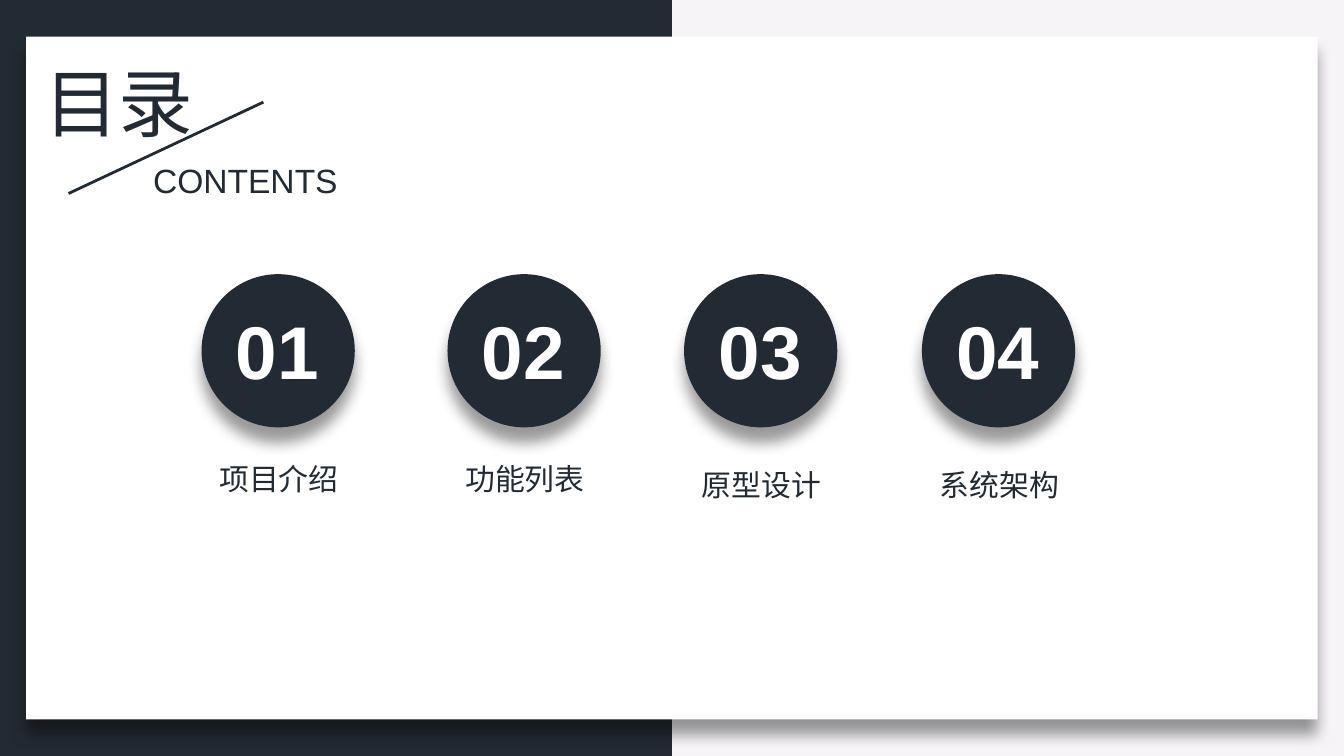
from dataclasses import dataclass

from lxml import etree
from pptx import Presentation
from pptx.dml.color import RGBColor
from pptx.enum.shapes import MSO_CONNECTOR, MSO_SHAPE
from pptx.enum.text import MSO_ANCHOR, MSO_AUTO_SIZE, PP_ALIGN
from pptx.oxml.ns import qn
from pptx.util import Inches, Pt

RECTANGLE, OVAL = MSO_SHAPE.RECTANGLE, MSO_SHAPE.OVAL
STRAIGHT = MSO_CONNECTOR.STRAIGHT
LEFT, CENTER = PP_ALIGN.LEFT, PP_ALIGN.CENTER
TOP = MSO_ANCHOR.TOP
NO_AUTOSIZE = MSO_AUTO_SIZE.NONE


@dataclass(frozen=True)
class Theme:
    """Colours, fonts and type sizes of the deck."""
    dark: str = "222B34"
    light: str = "F6F4F7"
    white: str = "FFFFFF"
    shadow: str = "000000"
    heading_font: str = "Calibri"
    latin_font: str = "Arial"
    chinese_font: str = "Noto Sans CJK SC"
    display_size: int = 40
    subtitle_size: int = 18
    label_size: int = 16


THEME = Theme()


def add_shadow(shape):
    """Cast a soft shadow straight down from the shape."""
    shape.shadow.inherit = False
    effects = shape._element.spPr.find(qn("a:effectLst"))
    shadow = etree.SubElement(
        effects, qn("a:outerShdw"), blurRad=str(Pt(8)), dist=str(Pt(8)),
        dir="5400000", algn="t", rotWithShape="0")
    color = etree.SubElement(shadow, qn("a:srgbClr"), val=THEME.shadow)
    etree.SubElement(color, qn("a:alpha"), val="40000")


def add_filled(slide, kind, box, color, shadow=False):
    """Add an unlined shape in one colour."""
    shape = slide.shapes.add_shape(kind, *map(Inches, box))
    shape.fill.solid()
    shape.fill.fore_color.rgb = RGBColor.from_string(color)
    shape.line.fill.background()
    if shadow:
        add_shadow(shape)
    else:
        shape.shadow.inherit = False


def write(shape, text, font_name, size, color, align=CENTER, bold=False):
    """Put one formatted, unwrapped line of text in a shape."""
    frame = shape.text_frame
    frame.text = text
    frame.word_wrap = False
    frame.auto_size = NO_AUTOSIZE
    frame.vertical_anchor = TOP
    paragraph = frame.paragraphs[0]
    paragraph.alignment = align
    run = paragraph.runs[0]
    run.font.name = font_name
    run.font.size = Pt(size)
    run.font.bold = bold
    run.font.color.rgb = RGBColor.from_string(color)
    latin = run.font._element.find(qn("a:latin"))
    latin.addnext(etree.Element(qn("a:ea"), typeface=THEME.chinese_font))


def add_text(slide, box, *args, **options):
    """Add a text box holding one formatted line."""
    write(slide.shapes.add_textbox(*map(Inches, box)), *args, **options)


def add_backdrop(slide, width, height):
    """Split the slide into two tones and lay a white card on top."""
    slide.background.fill.solid()
    slide.background.fill.fore_color.rgb = RGBColor.from_string(THEME.light)
    add_filled(slide, RECTANGLE, (0, 0, width / 2, height), THEME.dark)
    card_width, card_height = 9.61, 5.08
    add_filled(slide, RECTANGLE,
               ((width - card_width) / 2, (height - card_height) / 2,
                card_width, card_height),
               THEME.white, shadow=True)


def add_heading(slide, left, top):
    """Place the title, its slanted rule and the subtitle."""
    title = slide.shapes.title
    slide.shapes._spTree.append(title._element)
    title.left, title.top = Inches(left), Inches(top)
    title.width, title.height = Inches(1.32), Inches(0.77)
    write(title, "目录", THEME.heading_font, THEME.display_size, THEME.dark, LEFT)
    ends = (left + 1.73, top + 0.39, left + 0.28, top + 1.07)
    rule = slide.shapes.add_connector(STRAIGHT, *map(Inches, ends))
    rule.line.color.rgb = RGBColor.from_string(THEME.dark)
    rule.line.width = Pt(1.5)
    etree.SubElement(rule._element.spPr, qn("a:effectLst"))
    add_text(slide, (left + 0.81, top + 0.77, 1.59, 0.4), "CONTENTS",
             THEME.latin_font, THEME.subtitle_size, THEME.dark, LEFT)


def add_entry(slide, left, top, number, label, label_drop):
    """Place one numbered circle with its label below."""
    diameter, number_width, label_width = 1.14, 0.83, 1.09
    add_filled(slide, OVAL, (left, top, diameter, diameter), THEME.dark, shadow=True)
    add_text(slide, (left + 0.03, top + label_drop, label_width, 0.37),
             label, THEME.chinese_font, THEME.label_size, THEME.dark)
    add_text(slide, (left + 0.15, top + 0.18, number_width, 0.77),
             f"{number:02d}", THEME.latin_font, THEME.display_size, THEME.white,
             bold=True)


def main():
    """Build the contents slide."""
    width = 10
    height = width * 9 / 16
    presentation = Presentation()
    presentation.slide_width = Inches(width)
    presentation.slide_height = Inches(height)
    slide = presentation.slides.add_slide(presentation.slide_layouts[5])
    add_backdrop(slide, width, height)
    add_heading(slide, 0.23, 0.37)
    entries = [
        (1.5, "项目介绍", 1.34),
        (3.33, "功能列表", 1.34),
        (5.09, "原型设计", 1.38),
        (6.86, "系统架构", 1.38),
    ]
    for number, (left, label, label_drop) in enumerate(entries, start=1):
        add_entry(slide, left, 2.04, number, label, label_drop)
    presentation.save("out.pptx")


if __name__ == "__main__":
    main()
